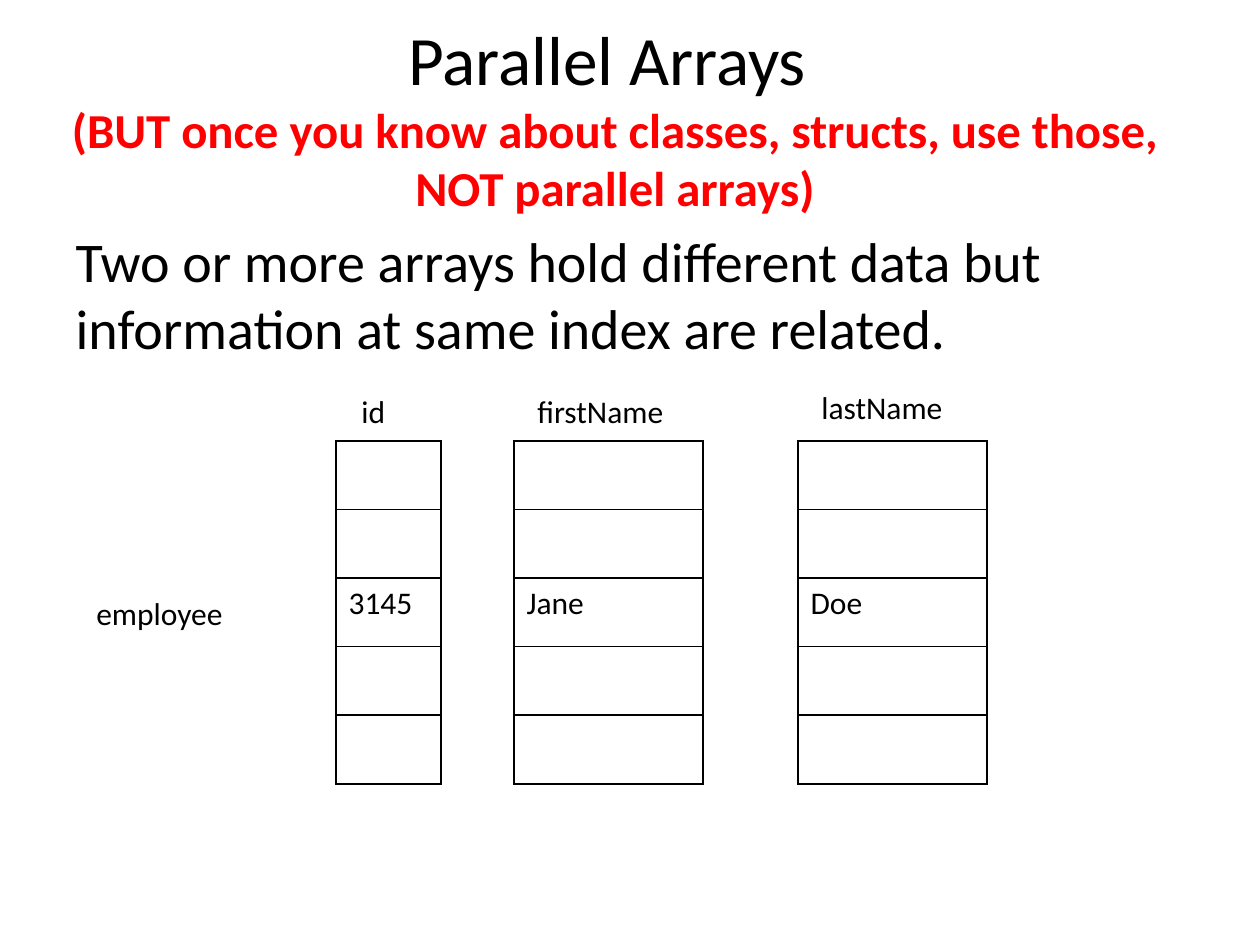
"""Build the Parallel Arrays slide with three aligned one-column tables."""
from lxml.etree import SubElement
from pptx import Presentation
from pptx.dml.color import RGBColor
from pptx.enum.text import MSO_ANCHOR, MSO_AUTO_SIZE, PP_ALIGN
from pptx.oxml.ns import qn
from pptx.util import Emu, Pt

THEME = {
    "font": "Calibri",
    "ink": RGBColor(0, 0, 0),
    "warning": RGBColor(255, 0, 0),
    "title": 39.6, "subtitle": 27.9, "body": 32, "label": 18,
    "border": 1,
}
SCALE = 914400 // 126
SLIDE_SIZE = (1260, 945)

TITLE = "Parallel Arrays "
SUBTITLE = "(BUT once you know about classes, structs, use those, NOT parallel arrays)"
BODY = "Two or more arrays hold different data but information at same index are related."
TITLE_BOX = (32, 38, 1166, 157)
BODY_BOX = (63, 220, 1134, 624)

ROWS, FILLED_ROW = 5, 2
TABLE_TOP, TABLE_HEIGHT = 441, 343
ARRAYS = [
    {"left": 336, "width": 105, "value": "3145"},
    {"left": 514, "width": 189, "value": "Jane"},
    {"left": 798, "width": 189, "value": "Doe"},
]
LABELS = [
    ("id", (349, 386, 63, 50)),
    ("firstName", (525, 386, 158, 50)),
    ("lastName", (809, 382, 168, 50)),
    ("employee", (84, 588, 199, 50)),
]


def px(length):
    return Emu(round(length * SCALE))


def add_span(para, text, size, color="ink", bold=False):
    span = para.add_run()
    span.text = text
    span.font.name = THEME["font"]
    span.font.size = Pt(THEME[size])
    span.font.bold = bold
    span.font.color.rgb = THEME[color]


def place(shape, box):
    shape.left, shape.top, shape.width, shape.height = map(px, box)
    shape.text_frame.word_wrap = True
    shape.text_frame.auto_size = MSO_AUTO_SIZE.NONE
    return shape.text_frame.paragraphs[0]


def outline(cell):
    properties = cell._tc.get_or_add_tcPr()
    for side in ("a:lnL", "a:lnR", "a:lnT", "a:lnB"):
        line = SubElement(properties, qn(side), w=str(Pt(THEME["border"])))
        fill = SubElement(line, qn("a:solidFill"))
        SubElement(fill, qn("a:srgbClr"), val=str(THEME["ink"]))
    cell.fill.background()


def add_array(slide, left, width, value):
    frame = slide.shapes.add_table(
        ROWS, 1, px(left), px(TABLE_TOP), px(width), px(TABLE_HEIGHT))
    table = frame.table
    table.first_row = table.horz_banding = False
    for index, row in enumerate(table.rows):
        row.height = px(TABLE_HEIGHT / ROWS)
        cell = row.cells[0]
        outline(cell)
        if index == FILLED_ROW:
            add_span(cell.text_frame.paragraphs[0], value, "label")


deck = Presentation()
deck.slide_width, deck.slide_height = map(px, SLIDE_SIZE)
page = deck.slides.add_slide(deck.slide_layouts[1])

title = page.shapes.title
para = place(title, TITLE_BOX)
title.text_frame.vertical_anchor = MSO_ANCHOR.MIDDLE
para.alignment = PP_ALIGN.CENTER
add_span(para, TITLE, "title")
para.add_line_break()
add_span(para, SUBTITLE, "subtitle", "warning", True)

para = place(page.placeholders[1], BODY_BOX)
properties = para._p.get_or_add_pPr()
properties.set("marL", "0")
properties.set("indent", "0")
SubElement(properties, qn("a:buNone"))
add_span(para, BODY, "body")

for array in ARRAYS:
    add_array(page, **array)

for text, box in LABELS:
    para = place(page.shapes.add_textbox(*map(px, box)), box)
    add_span(para, text, "label")

deck.save("out.pptx")
